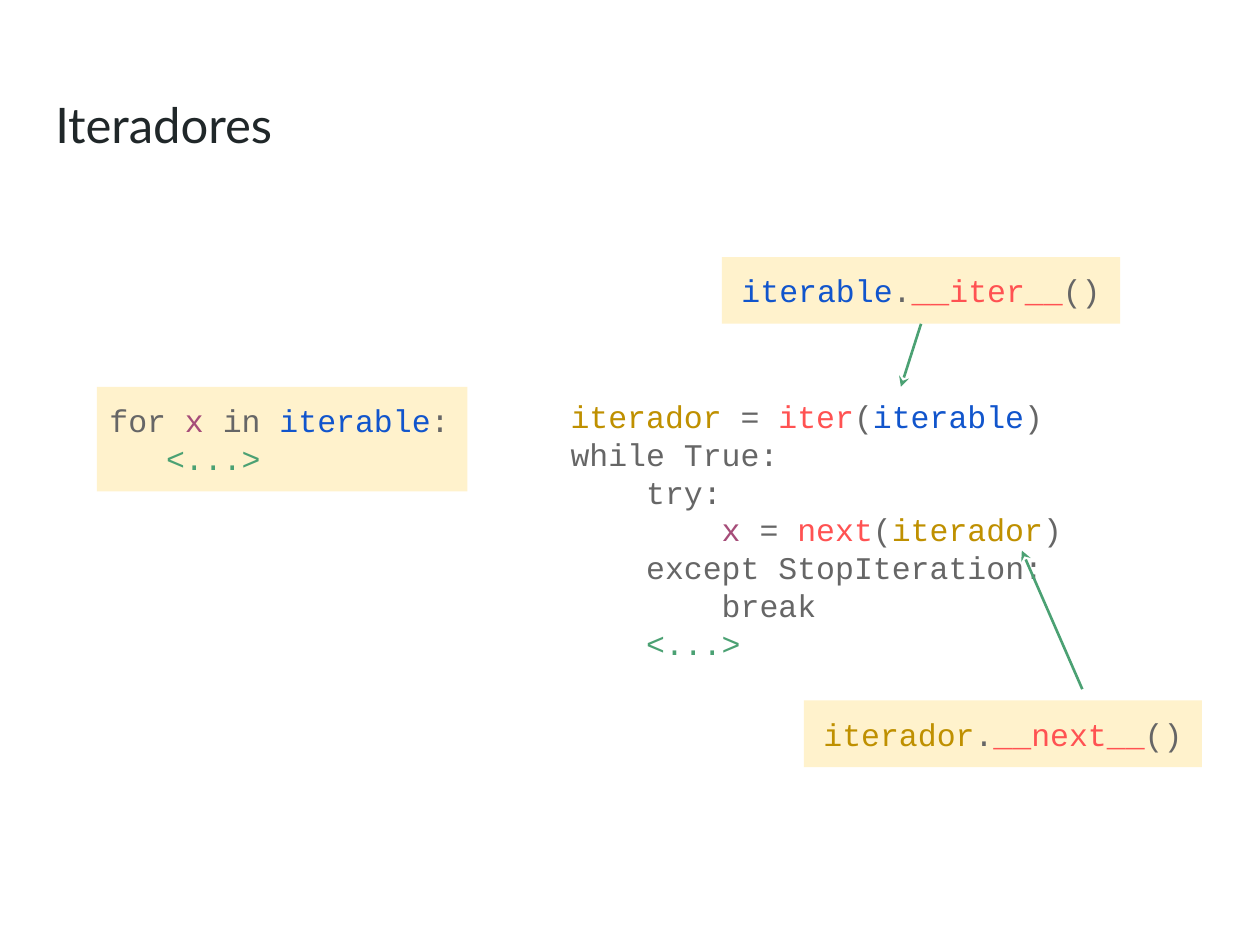
from lxml import etree
from pptx import Presentation
from pptx.dml.color import RGBColor
from pptx.enum.shapes import MSO_CONNECTOR, MSO_SHAPE
from pptx.enum.text import MSO_ANCHOR, PP_ALIGN
from pptx.oxml.ns import qn
from pptx.util import Inches, Pt

RECT, STRAIGHT = MSO_SHAPE.RECTANGLE, MSO_CONNECTOR.STRAIGHT
TOP, MIDDLE = MSO_ANCHOR.TOP, MSO_ANCHOR.MIDDLE
LEFT, CENTER = PP_ALIGN.LEFT, PP_ALIGN.CENTER

INK, CREAM, GREEN = "202729", "FFF2CC", "4BA173"
GREY, BLUE, RED, GOLD, PLUM = "666666", "1155CC", "FF5252", "BF9000", "A64D79"


def rgb(value):
    return RGBColor.from_string(value)


class Deck:
    """Draws code slides on a grid of 100 columns by 75 rows."""

    code_font, code_size, line_height = "Courier New", 18, 21.6
    columns, rows = 100, 75

    def __init__(self):
        self.prs = Presentation()
        self.prs.slide_width, self.prs.slide_height = Inches(10), Inches(7.5)
        self.s = self.prs.slides.add_slide(self.prs.slide_layouts[6])

    def x(self, column):
        return round(self.prs.slide_width * column / self.columns)

    def y(self, row):
        return round(self.prs.slide_height * row / self.rows)

    def frame(self, sp, anchor):
        tf = sp.text_frame
        tf.word_wrap, tf.vertical_anchor = True, anchor
        tf.margin_left = tf.margin_right = Inches(0.1)
        tf.margin_top = tf.margin_bottom = Inches(0.1)
        return tf

    def textbox(self, left, top, width, height):
        return self.s.shapes.add_textbox(
            self.x(left), self.y(top), self.x(width), self.y(height))

    def title(self, text, *place):
        p = self.frame(self.textbox(*place), TOP).paragraphs[0]
        p.text = text
        p.font.name, p.font.size, p.font.color.rgb = "Lato", Pt(28), rgb(INK)

    def fill_lines(self, tf, lines, align):
        for i, (indent, *parts) in enumerate(lines):
            p = tf.add_paragraph() if i else tf.paragraphs[0]
            p.alignment, p.line_spacing = align, Pt(self.line_height)
            p.font.name, p.font.size = self.code_font, Pt(self.code_size)
            margin = Pt(indent * self.code_size * 0.6)
            p._p.get_or_add_pPr().set("marL", str(margin))
            for text, color in parts:
                r = p.add_run()
                r.text, r.font.color.rgb = text, rgb(color)

    def code(self, lines, *place):
        self.fill_lines(self.frame(self.textbox(*place), TOP), lines, LEFT)

    def box(self, lines, left, top, width, height, align=LEFT):
        sp = self.s.shapes.add_shape(
            RECT, self.x(left), self.y(top), self.x(width), self.y(height))
        sp.shadow.inherit = False
        sp.fill.solid()
        sp.fill.fore_color.rgb = rgb(CREAM)
        sp.line.fill.background()
        self.fill_lines(self.frame(sp, MIDDLE), lines, align)

    def method(self, owner, color, name, left, top):
        line = (0, (owner, color), (".", GREY), (name, RED), ("()", GREY))
        self.box([line], left, top, 31.6, 5.3, CENTER)

    def arrow(self, x1, y1, x2, y2):
        sp = self.s.shapes.add_connector(
            STRAIGHT, self.x(x1), self.y(y1), self.x(x2), self.y(y2))
        sp.line.color.rgb, sp.line.width = rgb(GREEN), Pt(1.5)
        ln = sp.line._get_or_add_ln()
        etree.SubElement(ln, qn("a:tailEnd"), type="stealth")
        etree.SubElement(sp._element.spPr, qn("a:effectLst"))


def main():
    deck = Deck()
    deck.title("Iteradores", 3.4, 6.5, 47.1, 8.3)
    deck.box([
        (0, ("for ", GREY), ("x ", PLUM), ("in ", GREY),
         ("iterable", BLUE), (":", GREY)),
        (3, ("<...>", GREEN)),
    ], 7.7, 30.7, 29.4, 8.3)
    deck.code([
        (0, ("iterador", GOLD), (" = ", GREY), ("iter", RED), ("(", GREY),
         ("iterable", BLUE), (")", GREY)),
        (0, ("while True:", GREY)),
        (4, ("try:", GREY)),
        (8, ("x", PLUM), (" = ", GREY), ("next", RED), ("(", GREY),
         ("iterador", GOLD), (")", GREY)),
        (4, ("except StopIteration:", GREY)),
        (8, ("break", GREY)),
        (4, ("<...>", GREEN)),
    ], 44.3, 30.5, 42, 26.5)
    deck.method("iterable", BLUE, "__iter__", 57.3, 20.4)
    deck.arrow(73.1, 25.7, 71.5, 30.7)
    deck.method("iterador", GOLD, "__next__", 63.8, 55.6)
    deck.arrow(85.9, 54.7, 81.1, 43.7)
    deck.prs.save("out.pptx")


if __name__ == "__main__":
    main()
